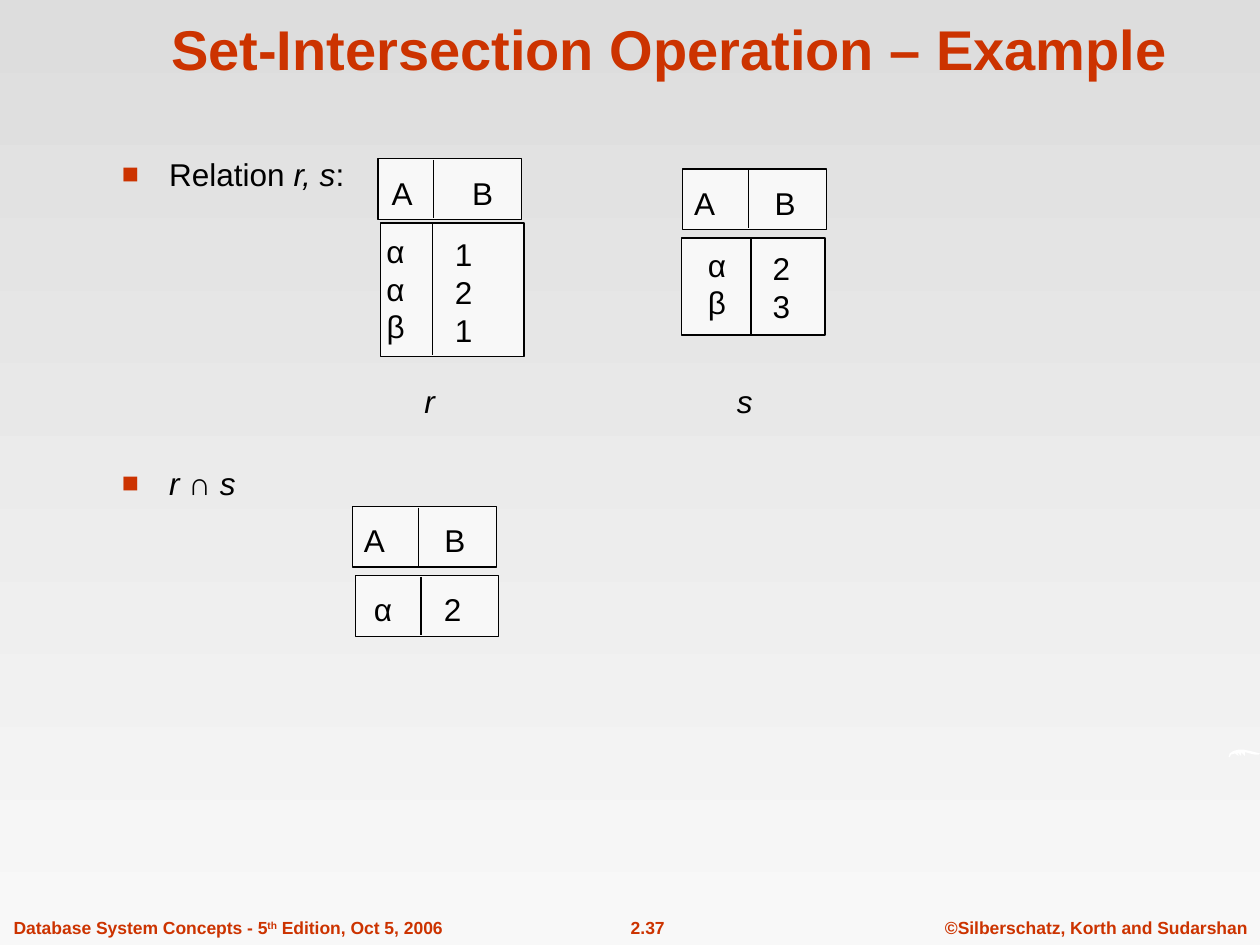
from lxml import etree
from pptx import Presentation
from pptx import util as u
from pptx.dml.color import RGBColor
from pptx.enum import shapes, text
from pptx.oxml import ns

COLORS = {"accent": "CC3300", "ink": "000000", "panel": "F8F8F8",
          "sky": "DDDDDD", "white": "FFFFFF"}
LEFT, CENTER = text.PP_ALIGN.LEFT, text.PP_ALIGN.CENTER
FRAME_WIDTH, ROW_HEIGHT = 82, 34.6


def color(name):
    return RGBColor.from_string(COLORS[name])


def add_element(parent, tag, **attributes):
    return etree.SubElement(parent, ns.qn(tag), attributes)


class SlideBuilder:
    font, size, line_width = "Arial", 18, 0.75

    def __init__(self, deck):
        self.slide = deck.slides.add_slide(deck.slide_layouts[5])

    def background(self, top, bottom):
        fill = self.slide.background.fill
        fill.gradient()
        fill.gradient_angle = 270
        for stop, name in zip(fill.gradient_stops, (top, bottom)):
            stop.color.rgb = color(name)

    def span(self, para, words, size=None, ink="ink", bold=False, italic=False):
        span = para.add_run()
        span.text = words
        font = span.font
        font.name, font.size = self.font, u.Pt(size or self.size)
        font.bold, font.italic = bold, italic
        font.color.rgb = color(ink)
        return span

    def title(self, words, x, y, width, height):
        title = self.slide.shapes.title
        title.left, title.top = u.Pt(x), u.Pt(y)
        title.width, title.height = u.Pt(width), u.Pt(height)
        frame = title.text_frame
        frame.auto_size = text.MSO_AUTO_SIZE.NONE
        frame.vertical_anchor = text.MSO_ANCHOR.BOTTOM
        para = frame.paragraphs[0]
        para.alignment = CENTER
        self.span(para, words, 32, "accent", bold=True)

    def box(self, x, y, width, height, wrap=False):
        box = self.slide.shapes.add_textbox(u.Pt(x), u.Pt(y), u.Pt(width), u.Pt(height))
        box.text_frame.word_wrap = wrap
        return box.text_frame

    def column(self, x, y, width, values, italic=False):
        frame = self.box(x, y, width, 7.2 + 21.6 * len(values))
        for index, value in enumerate(values):
            para = frame.add_paragraph() if index else frame.paragraphs[0]
            para.alignment = CENTER
            self.span(para, value, italic=italic)

    def row(self, x, y, width, values, tab):
        para = self.box(x, y, width, 28.8).paragraphs[0]
        para.alignment = LEFT
        tabs = add_element(para._p.get_or_add_pPr(), "a:tabLst")
        add_element(tabs, "a:tab", pos=str(u.Pt(tab)), algn="l")
        self.span(para, "\t".join(values))

    def bullets(self, x, y, width, height, items):
        frame = self.box(x, y, width, height, wrap=True)
        for index, (space, spans) in enumerate(items):
            para = frame.add_paragraph() if index else frame.paragraphs[0]
            properties = para._p.get_or_add_pPr()
            properties.set("marL", str(u.Pt(27)))
            properties.set("indent", str(u.Pt(-27)))
            tint = add_element(properties, "a:buClr")
            add_element(tint, "a:srgbClr", val=COLORS["accent"])
            add_element(properties, "a:buSzPct", val="90000")
            add_element(properties, "a:buFont", typeface=self.font)
            add_element(properties, "a:buChar", char="■")
            para.space_before = u.Pt(space)
            for words, italic in spans:
                self.span(para, words, italic=italic)

    def divider(self, x, top, bottom):
        line = self.slide.shapes.add_connector(
            shapes.MSO_CONNECTOR.STRAIGHT, u.Pt(x), u.Pt(top), u.Pt(x), u.Pt(bottom))
        line.line.color.rgb = color("ink")
        line.line.width = u.Pt(self.line_width)
        add_element(line._element.spPr, "a:effectLst")

    def split_frame(self, x, y, height, split):
        panel = self.slide.shapes.add_shape(
            shapes.MSO_SHAPE.RECTANGLE, u.Pt(x), u.Pt(y), u.Pt(FRAME_WIDTH), u.Pt(height))
        panel.shadow.inherit = False
        panel.fill.solid()
        panel.fill.fore_color.rgb = color("panel")
        panel.line.color.rgb = color("ink")
        panel.line.width = u.Pt(self.line_width)
        self.divider(split, y + 0.7, y + height - 0.7)

    def header(self, x, y, split, text_x):
        self.split_frame(x, y, ROW_HEIGHT, split)
        self.row(text_x, y + 5, 73.4, ["A", "B"], 46)

    def footer(self, x, width, parts, align=CENTER):
        para = self.box(x, 520.6, width, 19.4).paragraphs[0]
        para.alignment = align
        for words, raised in parts:
            span = self.span(para, words, 10, "accent", bold=True)
            if raised:
                span._r.get_or_add_rPr().set("baseline", "30000")

    def swoosh(self, points):
        outline = self.slide.shapes.build_freeform(*points[0], scale=u.Pt(0.72))
        outline.add_line_segments(points[1:], close=True)
        shape = outline.convert_to_shape()
        shape.shadow.inherit = False
        shape.fill.solid()
        shape.fill.fore_color.rgb = color("white")
        shape.line.fill.background()


def main():
    deck = Presentation()
    deck.slide_width, deck.slide_height = u.Pt(720), u.Pt(540)
    page = SlideBuilder(deck)
    page.background("sky", "panel")

    page.footer(532.8, 187.2, [("©Silberschatz, Korth and Sudarshan", False)])
    page.footer(334.8, 70.6, [("2.37", False)])
    page.footer(0.7, 275, [("Database System Concepts - 5", False), ("th", True),
                           (" Edition, Oct 5, 2006", False)], LEFT)
    page.swoosh([(975, 601), (976, 598), (979, 596), (983, 595), (987, 595),
                 (992, 596), (996, 597), (1000, 598), (999, 599), (996, 599),
                 (992, 598), (988, 597), (988, 600), (985, 597), (985, 600),
                 (982, 597), (983, 600), (980, 598), (977, 599), (976, 601)])

    page.title("Set-Intersection Operation – Example", 64.8, 2.2, 635.8, 48.2)
    page.bullets(62.6, 85, 617.8, 383.8, [
        (0, [("Relation ", False), ("r, s", True), (":", False)]),
        (155, [("r ", True), ("∩ ", False), ("s", True)]),
    ])

    page.header(216, 90.7, 247.7, 216.7)
    page.split_frame(217.4, 127.4, 76.3, 247)
    page.column(213.1, 128.9, 25.9, ["α", "α", "β"])
    page.column(252.7, 131, 24.5, ["1", "2", "1"])
    page.column(235.4, 214.6, 20.2, ["r"], italic=True)

    page.header(390.2, 96.5, 427.7, 389.5)
    page.split_frame(389.5, 136.1, 55.4, 429.1)
    page.column(396.7, 136.8, 25.9, ["α", "β"])
    page.column(434.2, 139, 24.5, ["2", "3"])
    page.column(414, 214.6, 23, ["s"], italic=True)

    page.header(201.6, 289.4, 239, 200.9)
    page.split_frame(203, 329, ROW_HEIGHT, 240.5)
    page.row(206.6, 333.4, 65.5, ["α", "2"], 40)

    deck.save("out.pptx")


if __name__ == "__main__":
    main()
